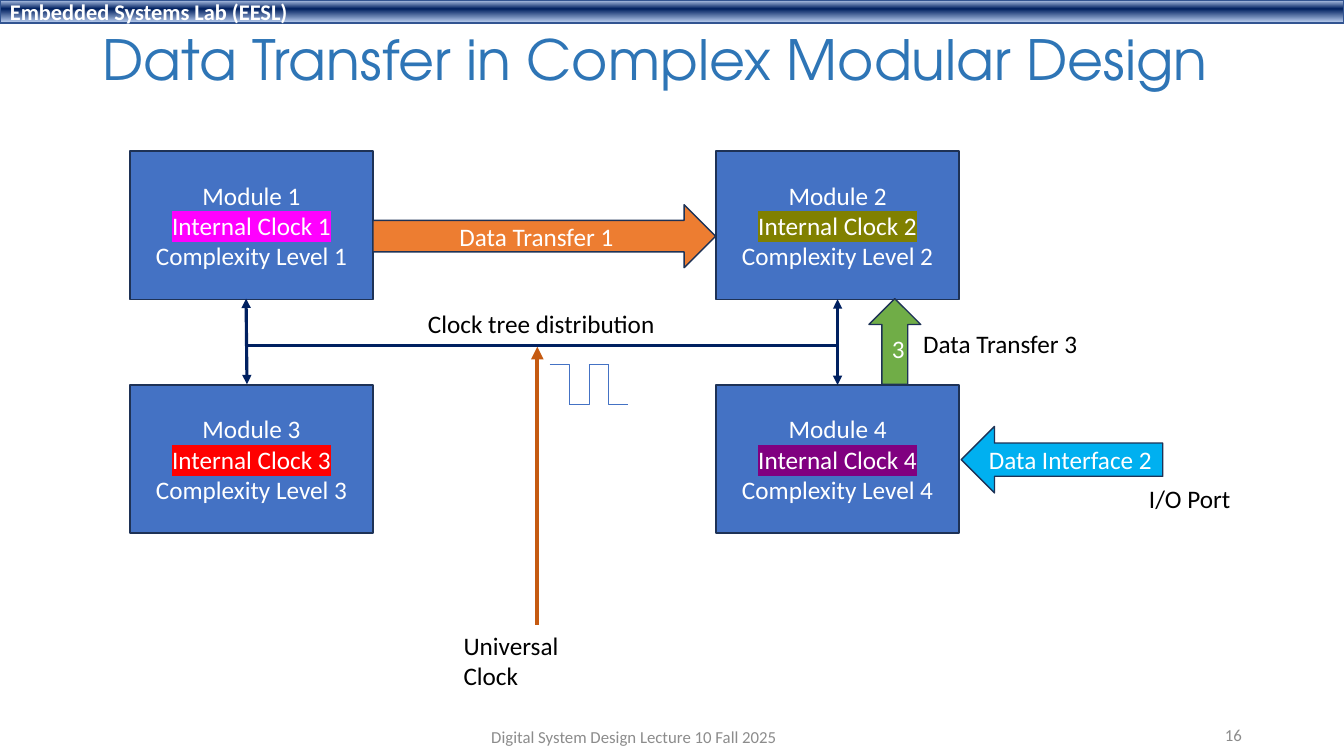
from dataclasses import dataclass
from typing import Optional

from lxml import etree
from pptx import Presentation
from pptx import util as u
from pptx.dml.color import RGBColor
from pptx.enum import shapes, text
from pptx.oxml import ns

Pt = u.Pt
WHITE = RGBColor(0xFF, 0xFF, 0xFF)
BLACK = RGBColor(0, 0, 0)
GRAY = RGBColor(0x8C, 0x8C, 0x8C)
NAVY = RGBColor(0x00, 0x20, 0x60)
OUTLINE = RGBColor(0x1E, 0x32, 0x56)
HEADER_LINE = RGBColor(0x32, 0x54, 0x91)
HEADER_TOP = RGBColor(0xAB, 0xC0, 0xE4)
HEADER_BOTTOM = RGBColor(0xAC, 0xC1, 0xE5)
TITLE_BLUE = RGBColor(0x2E, 0x75, 0xB6)
BLUE = RGBColor(0x44, 0x72, 0xC4)
ORANGE = RGBColor(0xED, 0x7D, 0x31)
RUST = RGBColor(0xC5, 0x5A, 0x11)
CYAN = RGBColor(0x00, 0xB0, 0xF0)
GREEN = RGBColor(0x70, 0xAD, 0x47)
MAGENTA = RGBColor(0xFF, 0x00, 0xFF)
OLIVE = RGBColor(0x80, 0x80, 0x00)
RED = RGBColor(0xFF, 0x00, 0x00)
PURPLE = RGBColor(0x80, 0x00, 0x80)

LEFT = text.PP_ALIGN.LEFT
CENTER = text.PP_ALIGN.CENTER
RIGHT = text.PP_ALIGN.RIGHT
STRAIGHT = shapes.MSO_CONNECTOR.STRAIGHT
ELBOW = shapes.MSO_CONNECTOR.ELBOW
RECTANGLE = shapes.MSO_SHAPE.RECTANGLE


@dataclass
class Box:
    left: float
    top: float
    width: float
    height: float


@dataclass
class Style:
    size: float = 18
    color: RGBColor = BLACK
    align: text.PP_ALIGN = LEFT
    font: str = "Calibri"
    bold: bool = False


@dataclass
class Line:
    text: str
    highlight: Optional[RGBColor] = None


@dataclass
class Label:
    box: Box
    lines: list[str]
    style: Style
    wrap: bool = False


@dataclass
class Arrow:
    kind: shapes.MSO_SHAPE
    box: Box
    fill: RGBColor
    caption: str


@dataclass
class Wire:
    start: tuple[float, float]
    end: tuple[float, float]
    color: RGBColor = NAVY
    weight: float = 2.25
    heads: tuple[str, ...] = ()
    kind: shapes.MSO_CONNECTOR = STRAIGHT


SHAPE_STYLE = Style(color=WHITE, align=CENTER)
LABEL_STYLE = Style()
HEADER_STOPS = ((2, HEADER_TOP), (38, NAVY), (93, HEADER_BOTTOM))
MODULE_LEFTS = (92.9, 511.5)
MODULE_TOPS = (108, 275)
MODULE_SIZE = (173.5, 105.8)
CLOCKS = (MAGENTA, OLIVE, RED, PURPLE)
PULSE_LEFT, PULSE_TOP, PULSE_HEIGHT, PULSE_STEP = 392.5, 260, 28.8, 14.1

ARROWS = (
    Arrow(shapes.MSO_SHAPE.RIGHT_ARROW, Box(266.4, 146.2, 244.8, 45), ORANGE, "Data Transfer 1"),
    Arrow(shapes.MSO_SHAPE.LEFT_ARROW, Box(686.6, 304.6, 144, 47.5), CYAN, "Data Interface 2"),
    Arrow(shapes.MSO_SHAPE.UP_ARROW, Box(620.7, 213.3, 37, 61.2), GREEN, "3"),
)
WIRES = (
    Wire((383.8, 446.4), (383.8, 247.7), RUST, 3, ("tailEnd",)),
    Wire((176.8, 247), (598.3, 247)),
    Wire((598.3, 275), (598.3, 213.8), heads=("headEnd", "tailEnd")),
    Wire((176.4, 274.5), (175.8, 213.3), heads=("headEnd", "tailEnd")),
)
LABELS = (
    Label(Box(66.2, 17.3, 828, 55.4), ["Data Transfer in Complex Modular Design"],
          Style(39.6, TITLE_BLUE, font="TeX Gyre Adventor"), True),
    Label(Box(290.9, 511.9, 324, 28.8), ["Digital System Design Lecture 10 Fall 2025"],
          Style(12, GRAY, CENTER), True),
    Label(Box(678.2, 510.5, 216, 28.8), ["16"], Style(12, GRAY, RIGHT), True),
    Label(Box(324, 446.4, 82.8, 51), ["Universal", "Clock"], LABEL_STYLE),
    Label(Box(652.3, 231.1, 126, 29), ["Data Transfer 3"], LABEL_STYLE),
    Label(Box(813.6, 342, 73.4, 29), ["I/O Port"], LABEL_STYLE),
    Label(Box(298.6, 216.7, 178.6, 29), ["Clock tree distribution"], LABEL_STYLE),
)


def place(box: Box) -> tuple[u.Length, ...]:
    return Pt(box.left), Pt(box.top), Pt(box.width), Pt(box.height)


def add_color(parent, color: RGBColor) -> None:
    etree.SubElement(parent, ns.qn("a:srgbClr"), val=str(color))


def write(frame, lines: list[Line], style: Style) -> None:
    for index, line in enumerate(lines):
        paragraph = frame.add_paragraph() if index else frame.paragraphs[0]
        paragraph.alignment = style.align
        run = paragraph.add_run()
        run.text = line.text
        run.font.size = Pt(style.size)
        run.font.name = style.font
        run.font.bold = style.bold
        run.font.color.rgb = style.color
        if line.highlight is not None:
            highlight = etree.Element(ns.qn("a:highlight"))
            add_color(highlight, line.highlight)
            run.font._element.find(ns.qn("a:solidFill")).addnext(highlight)


def add_block(slide, kind: shapes.MSO_SHAPE, box: Box, lines: list[Line],
              fill: RGBColor = BLUE, outline: RGBColor = OUTLINE, style: Style = SHAPE_STYLE):
    shape = slide.shapes.add_shape(kind, *place(box))
    shape.shadow.inherit = False
    shape.fill.solid()
    shape.fill.fore_color.rgb = fill
    shape.line.color.rgb = outline
    shape.line.width = Pt(1)
    shape.text_frame.vertical_anchor = text.MSO_ANCHOR.MIDDLE
    write(shape.text_frame, lines, style)
    return shape


def add_header(slide) -> None:
    shape = add_block(slide, RECTANGLE, Box(0, 0, 960, 16.6), [Line("Embedded Systems Lab (EESL)")],
                      NAVY, HEADER_LINE, Style(16, WHITE, bold=True))
    shape.fill.gradient()
    shape.fill.gradient_angle = 270
    stops = shape._element.spPr.find(".//" + ns.qn("a:gsLst"))
    for stop in list(stops):
        stops.remove(stop)
    for percent, color in HEADER_STOPS:
        add_color(etree.SubElement(stops, ns.qn("a:gs"), pos=str(percent * 1000)), color)


def add_label(slide, label: Label) -> None:
    frame = slide.shapes.add_textbox(*place(label.box)).text_frame
    frame.word_wrap = label.wrap
    if label.wrap:
        frame.vertical_anchor = text.MSO_ANCHOR.MIDDLE
    else:
        frame.auto_size = text.MSO_AUTO_SIZE.SHAPE_TO_FIT_TEXT
    write(frame, [Line(words) for words in label.lines], label.style)
    if label.style.size > 30:
        frame.paragraphs[0].line_spacing = 0.9


def add_wire(slide, wire: Wire) -> None:
    connector = slide.shapes.add_connector(wire.kind, *map(Pt, wire.start + wire.end))
    connector.line.color.rgb = wire.color
    connector.line.width = Pt(wire.weight)
    for head in wire.heads:
        etree.SubElement(connector.line._get_or_add_ln(), ns.qn("a:" + head), type="triangle")
    etree.SubElement(connector._element.spPr, ns.qn("a:effectLst"))


def main() -> None:
    presentation = Presentation()
    presentation.slide_width, presentation.slide_height = Pt(960), Pt(540)
    slide = presentation.slides.add_slide(presentation.slide_layouts[6])
    add_header(slide)
    for index, clock in enumerate(CLOCKS):
        row, column = divmod(index, 2)
        number = index + 1
        add_block(slide, RECTANGLE, Box(MODULE_LEFTS[column], MODULE_TOPS[row], *MODULE_SIZE),
                  [Line(f"Module {number}"), Line(f"Internal Clock {number}", clock),
                   Line(f"Complexity Level {number}")])
    for wire in WIRES:
        add_wire(slide, wire)
    levels = (PULSE_TOP, PULSE_TOP + PULSE_HEIGHT)
    for index in range(3):
        left = PULSE_LEFT + index * PULSE_STEP
        add_wire(slide, Wire((left, levels[index % 2]), (left + 2 * PULSE_STEP, levels[1 - index % 2]),
                             BLUE, 0.5, kind=ELBOW))
    for arrow in ARROWS:
        add_block(slide, arrow.kind, arrow.box, [Line(arrow.caption)], arrow.fill)
    for label in LABELS:
        add_label(slide, label)
    presentation.save("out.pptx")


if __name__ == "__main__":
    main()
